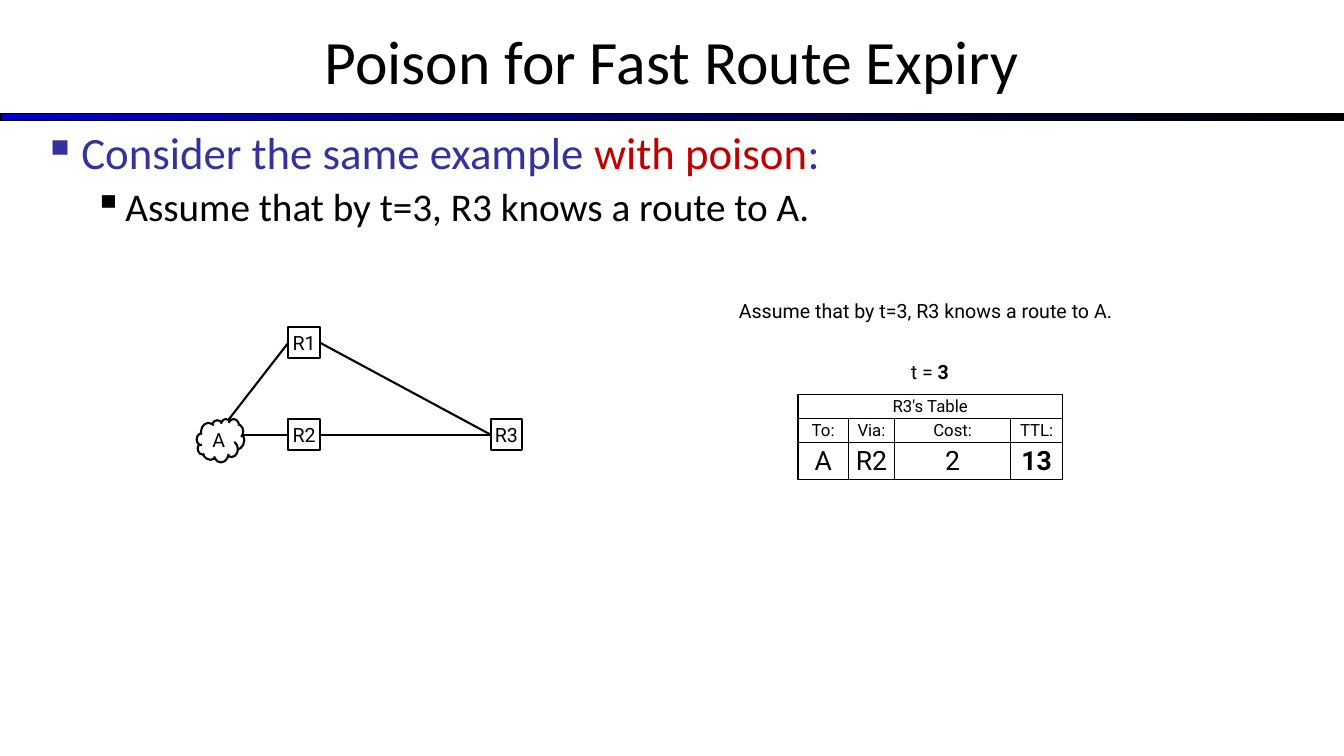
from dataclasses import dataclass

from lxml.etree import SubElement
from pptx import Presentation
from pptx.dml.color import RGBColor
from pptx.enum.shapes import MSO_CONNECTOR, MSO_SHAPE
from pptx.enum.text import MSO_ANCHOR as Anchor, MSO_AUTO_SIZE as AutoSize, PP_ALIGN as Align
from pptx.oxml.ns import qn
from pptx.util import Pt

COLORS = {"black": "000000", "white": "FFFFFF", "blue": "0000CC",
          "indigo": "333399", "red": "C00000"}
HEADING, DIAGRAM = "Calibri", "Roboto"
RIGHT, LEFT = 3, 1


@dataclass
class Run:
    text: str
    size: float
    font: str = DIAGRAM
    color: str = "black"
    bold: bool = False


@dataclass
class Node:
    name: str
    x: float
    y: float
    w: float = 22.5
    h: float = 22.5
    shape: MSO_SHAPE = MSO_SHAPE.RECTANGLE


@dataclass
class Link:
    """A line between two routers, or from a free point to a router."""
    start: str | tuple[float, float]
    end: str


@dataclass
class Bullet:
    runs: list[Run]
    level: int
    margin: float
    hang: float


ROUTE_NOTE = "Assume that by t=3, R3 knows a route to A."
NODES = [
    Node("R3", 350.5, 299.25),
    Node("R2", 206, 299.25),
    Node("R1", 206, 233.5),
    Node("A", 140.5, 299.25, 34, 31, MSO_SHAPE.CLOUD),
]
LINKS = [
    Link("R2", "R3"),
    Link("R1", "R3"),
    Link((174.25, 310.5), "R2"),
    Link((163.5, 299.5), "R1"),
]
BULLETS = [
    Bullet([Run("Consider the same example ", 32, HEADING, "indigo"),
            Run("with poison", 32, HEADING, "red"),
            Run(":", 32, HEADING, "indigo")], 0, 27, 27),
    Bullet([Run(ROUTE_NOTE, 28, HEADING)], 1, 58.5, 22.5),
]
TABLE_ROWS = [
    [Run("R3's Table", 12)],
    [Run(label, 12) for label in ("To:", "Via:", "Cost:", "TTL:")],
    [Run("A", 19), Run("R2", 19), Run("2", 19), Run("13", 19, bold=True)],
]
COLUMN_WIDTHS = [36, 33, 83, 37]
ROW_HEIGHTS = [17, 17, 26]


def rgb(name: str) -> RGBColor:
    return RGBColor.from_string(COLORS[name])


def set_all(obj, values: dict) -> None:
    for name, value in values.items():
        setattr(obj, name, value)


def margins(x: float, y: float) -> dict:
    return {"margin_left": Pt(x), "margin_right": Pt(x),
            "margin_top": Pt(y), "margin_bottom": Pt(y)}


def write(p, runs: list[Run], align: Align = Align.LEFT) -> None:
    p.alignment = align
    for run in runs:
        r = p.add_run()
        r.text = run.text
        set_all(r.font, {"size": Pt(run.size), "name": run.font, "bold": run.bold})
        r.font.color.rgb = rgb(run.color)


def outline(line, width: float) -> None:
    line.color.rgb = rgb("black")
    line.width = Pt(width)


def add_box(slide, shape: MSO_SHAPE, x: float, y: float, w: float, h: float):
    """Add a white preset shape with neither shadow nor outline."""
    sp = slide.shapes.add_shape(shape, Pt(x), Pt(y), Pt(w), Pt(h))
    sp.shadow.inherit = False
    sp.fill.solid()
    sp.fill.fore_color.rgb = rgb("white")
    sp.line.fill.background()
    return sp


def add_text(slide, x: float, y: float, w: float, h: float):
    tf = slide.shapes.add_textbox(Pt(x), Pt(y), Pt(w), Pt(h)).text_frame
    tf.word_wrap = True
    return tf


def add_heading(slide) -> None:
    bar = add_box(slide, MSO_SHAPE.RECTANGLE, 0, 81.25, 960, 5)
    bar.fill.gradient()
    bar.fill.gradient_angle = 0
    for stop, color, position in zip(bar.fill.gradient_stops, ("blue", "black"), (0, 1)):
        stop.color.rgb = rgb(color)
        stop.position = position
    outline(bar.line, 0.75)

    title = slide.shapes.title
    set_all(title, {"left": Pt(0), "top": Pt(-2), "width": Pt(960), "height": Pt(90)})
    set_all(title.text_frame, {"vertical_anchor": Anchor.MIDDLE, "word_wrap": True})
    write(title.text_frame.paragraphs[0],
          [Run("Poison for Fast Route Expiry", 44, HEADING)], Align.CENTER)


def add_bullets(slide) -> None:
    tf = add_text(slide, 24, 90, 906, 418)
    for i, bullet in enumerate(BULLETS):
        p = tf.add_paragraph() if i else tf.paragraphs[0]
        write(p, bullet.runs)
        first = bullet.runs[0]
        set_all(p, {"level": bullet.level, "line_spacing": 0.9,
                    "space_before": Pt(0.2 * first.size)})
        pPr = p._p.get_or_add_pPr()
        pPr.set("marL", str(Pt(bullet.margin)))
        pPr.set("indent", str(-Pt(bullet.hang)))
        SubElement(SubElement(pPr, qn("a:buClr")), qn("a:srgbClr"), val=COLORS[first.color])
        SubElement(pPr, qn("a:buChar"), char="▪")


def add_network(slide) -> None:
    routers = {}
    for node in NODES:
        sp = add_box(slide, node.shape, node.x, node.y, node.w, node.h)
        outline(sp.line, 1.5)
        set_all(sp.text_frame, margins(0, 0) | {"vertical_anchor": Anchor.MIDDLE,
                                                "word_wrap": True})
        write(sp.text_frame.paragraphs[0], [Run(node.name, 14)], Align.CENTER)
        routers[node.name] = sp
    for link in LINKS:
        x, y = (0, 0) if isinstance(link.start, str) else link.start
        line = slide.shapes.add_connector(MSO_CONNECTOR.STRAIGHT, Pt(x), Pt(y), Pt(x), Pt(y))
        if isinstance(link.start, str):
            line.begin_connect(routers[link.start], RIGHT)
        line.end_connect(routers[link.end], LEFT)
        outline(line.line, 1.5)
        SubElement(line._element.spPr, qn("a:effectLst"))


def add_borders(cell) -> None:
    tcPr = cell._tc.get_or_add_tcPr()
    for side in ("lnL", "lnR", "lnT", "lnB"):
        ln = SubElement(tcPr, qn(f"a:{side}"), w=str(Pt(1)))
        SubElement(SubElement(ln, qn("a:solidFill")), qn("a:srgbClr"), val=COLORS["black"])


def add_route_table(slide) -> None:
    table = slide.shapes.add_table(len(ROW_HEIGHTS), len(COLUMN_WIDTHS), Pt(570), Pt(281.75),
                                   Pt(sum(COLUMN_WIDTHS)), Pt(sum(ROW_HEIGHTS))).table
    set_all(table, {"first_row": False, "horz_banding": False})
    for column, width in zip(table.columns, COLUMN_WIDTHS):
        column.width = Pt(width)
    for row, height in zip(table.rows, ROW_HEIGHTS):
        row.height = Pt(height)
    for cell in table.iter_cells():
        add_borders(cell)
        cell.fill.background()
        set_all(cell, margins(0, 1.44) | {"vertical_anchor": Anchor.MIDDLE})
    table.cell(0, 0).merge(table.cell(0, len(COLUMN_WIDTHS) - 1))
    for i, runs in enumerate(TABLE_ROWS):
        for j, run in enumerate(runs):
            write(table.cell(i, j).text_frame.paragraphs[0], [run], Align.CENTER)


def add_captions(slide) -> None:
    note = add_text(slide, 525.5, 211.5, 277, 21.5)
    time = add_box(slide, MSO_SHAPE.RECTANGLE, 636.5, 255, 55.5, 21.5).text_frame
    for tf in (note, time):
        set_all(tf, margins(2.25, 2.25) | {"vertical_anchor": Anchor.TOP, "word_wrap": True,
                                           "auto_size": AutoSize.SHAPE_TO_FIT_TEXT})
    write(note.paragraphs[0], [Run(ROUTE_NOTE, 14)])
    write(time.paragraphs[0], [Run("t = ", 14), Run("3", 14, bold=True)], Align.CENTER)


def main() -> None:
    prs = Presentation()
    set_all(prs, {"slide_width": Pt(960), "slide_height": Pt(540)})
    slide = prs.slides.add_slide(prs.slide_layouts[5])
    for draw in (add_heading, add_bullets, add_route_table, add_network, add_captions):
        draw(slide)
    prs.save("out.pptx")


if __name__ == "__main__":
    main()
